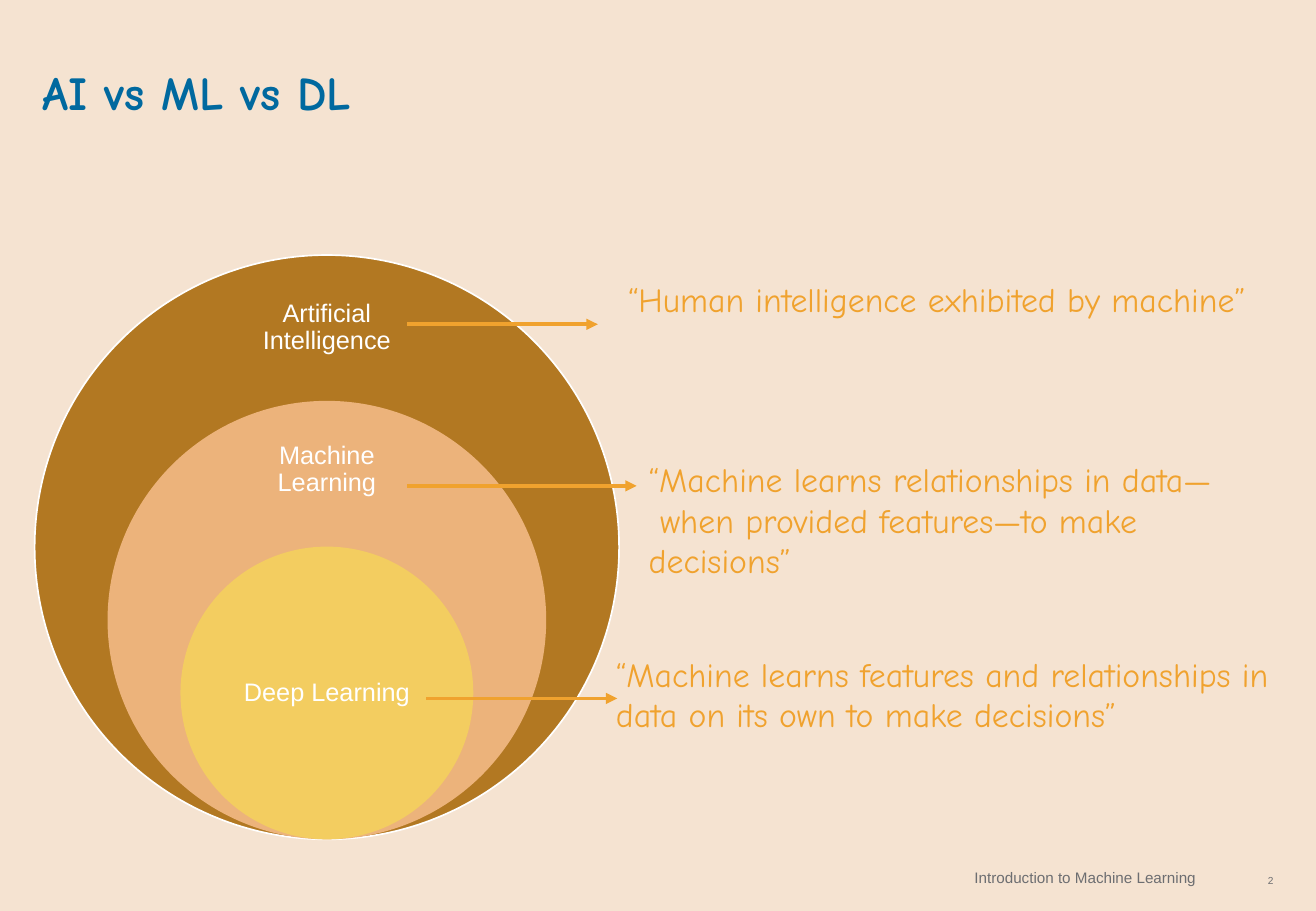
from lxml import etree
from pptx import Presentation
from pptx.dml.color import RGBColor
from pptx.enum.shapes import MSO_CONNECTOR, MSO_SHAPE
from pptx.enum.text import MSO_ANCHOR as Anchor, MSO_AUTO_SIZE as AutoSize, PP_ALIGN as Align
from pptx.oxml.ns import qn
from pptx.util import Inches, Pt

BACKGROUND, TITLE_BLUE, ORANGE = "F5E3D1", "00699F", "F0A22E"
WHITE, GREY = "FFFFFF", "6D6E71"
BODY_FONT, HAND_FONT = "Arial", "Comic Neue"


def paint(color_format, value):
    color_format.rgb = RGBColor.from_string(value)


class SlideBuilder:
    def __init__(self, presentation):
        self.slide = presentation.slides.add_slide(presentation.slide_layouts[5])
        self.shapes = self.slide.shapes
        fill = self.slide.background.fill
        fill.solid()
        paint(fill.fore_color, BACKGROUND)

    def style_text(self, shape, lines, size, font, color, align=Align.LEFT,
                   anchor=Anchor.TOP, insets=None, spacing=None, bold=False):
        frame = shape.text_frame
        frame.word_wrap = True
        frame.auto_size = AutoSize.NONE
        frame.vertical_anchor = anchor
        if insets:
            (frame.margin_left, frame.margin_top,
             frame.margin_right, frame.margin_bottom) = map(Inches, insets)
        frame.text = "\n".join(lines)
        for paragraph in frame.paragraphs:
            paragraph.alignment = align
            if spacing:
                paragraph.line_spacing = spacing
            paragraph.font.size = Pt(size)
            paragraph.font.name = font
            paragraph.font.bold = bold
            paint(paragraph.font.color, color)
        return frame

    def title(self, text, box):
        holder = self.shapes.title
        holder.left, holder.top, holder.width, holder.height = map(Inches, box)
        self.style_text(holder, [text], 28, HAND_FONT, TITLE_BLUE, anchor=Anchor.BOTTOM,
                        insets=(0, 0, 0, 0), spacing=0.9, bold=True)

    def text(self, lines, box, *style, **options):
        text_box = self.shapes.add_textbox(*map(Inches, box))
        return self.style_text(text_box, lines, *style, **options)

    def quote(self, lines, box, wrap=True):
        frame = self.text(lines, box, 20, HAND_FONT, ORANGE)
        frame.word_wrap = wrap
        frame.auto_size = AutoSize.SHAPE_TO_FIT_TEXT

    def circle(self, center_x, bottom, diameter, color, outline=None):
        box = (center_x - diameter / 2, bottom - diameter, diameter, diameter)
        disc = self.shapes.add_shape(MSO_SHAPE.OVAL, *map(Inches, box))
        disc.shadow.inherit = False
        disc.fill.solid()
        paint(disc.fill.fore_color, color)
        if outline:
            paint(disc.line.color, outline)
            disc.line.width = Pt(1)
        else:
            disc.line.fill.background()

    def arrow(self, start, end, y):
        arrow = self.shapes.add_connector(
            MSO_CONNECTOR.STRAIGHT, *map(Inches, (start, y, end, y)))
        paint(arrow.line.color, ORANGE)
        arrow.line.width = Pt(2.25)
        properties = arrow.element.spPr
        etree.SubElement(properties.get_or_add_ln(), qn("a:tailEnd"), type="triangle")
        etree.SubElement(properties, qn("a:effectLst"))


def main():
    presentation = Presentation()
    presentation.slide_width, presentation.slide_height = Inches(10.83), Inches(7.5)
    builder = SlideBuilder(presentation)
    builder.title("AI vs ML vs DL", (0.35, 0.22, 10.13, 0.77))

    # Nested fields: circles share a centre line and a bottom point
    center_x, bottom, label_width = 2.69, 6.91, 1.68
    fields = [
        ("Artificial Intelligence", 4.81, "B27822", WHITE, 2.34, 0.72),
        ("Machine Learning", 3.61, "ECB37B", None, 3.53, 0.68),
        ("Deep Learning", 2.41, "F3CD60", None, 5.11, 1.2),
    ]
    for name, diameter, color, outline, label_top, label_height in fields:
        builder.circle(center_x, bottom, diameter, color, outline)
        builder.text([name], (center_x - label_width / 2, label_top, label_width, label_height),
                     15, BODY_FONT, WHITE, align=Align.CENTER, anchor=Anchor.MIDDLE,
                     insets=(0.12,) * 4, spacing=0.9)

    # Definitions
    builder.quote(["“Human intelligence exhibited by machine”"],
                  (5.07, 2.25, 5.38, 0.44), wrap=False)
    builder.quote(["“Machine learns relationships in data—",
                   " when provided features—to make decisions”"], (5.24, 3.73, 5.18, 1.11))
    builder.quote(["“Machine learns features and relationships in data on its own "
                   "to make decisions”"], (4.97, 5.33, 5.86, 0.77))

    # Arrows from each field to its definition
    for start, end, y in [(3.35, 4.92, 2.67), (3.35, 5.24, 4), (3.51, 5.08, 5.75)]:
        builder.arrow(start, end, y)

    # Footer and page number
    builder.text(["Introduction to Machine Learning"], (6.19, 7.08, 3.8, 0.28),
                 9, BODY_FONT, GREY, align=Align.RIGHT, anchor=Anchor.MIDDLE,
                 insets=(0, 0, 0.15, 0))
    builder.text(["2"], (10.09, 7.08, 0.39, 0.33), 6, BODY_FONT, GREY,
                 align=Align.RIGHT, anchor=Anchor.MIDDLE, insets=(0, 0, 0, 0))

    presentation.save("out.pptx")


if __name__ == "__main__":
    main()
